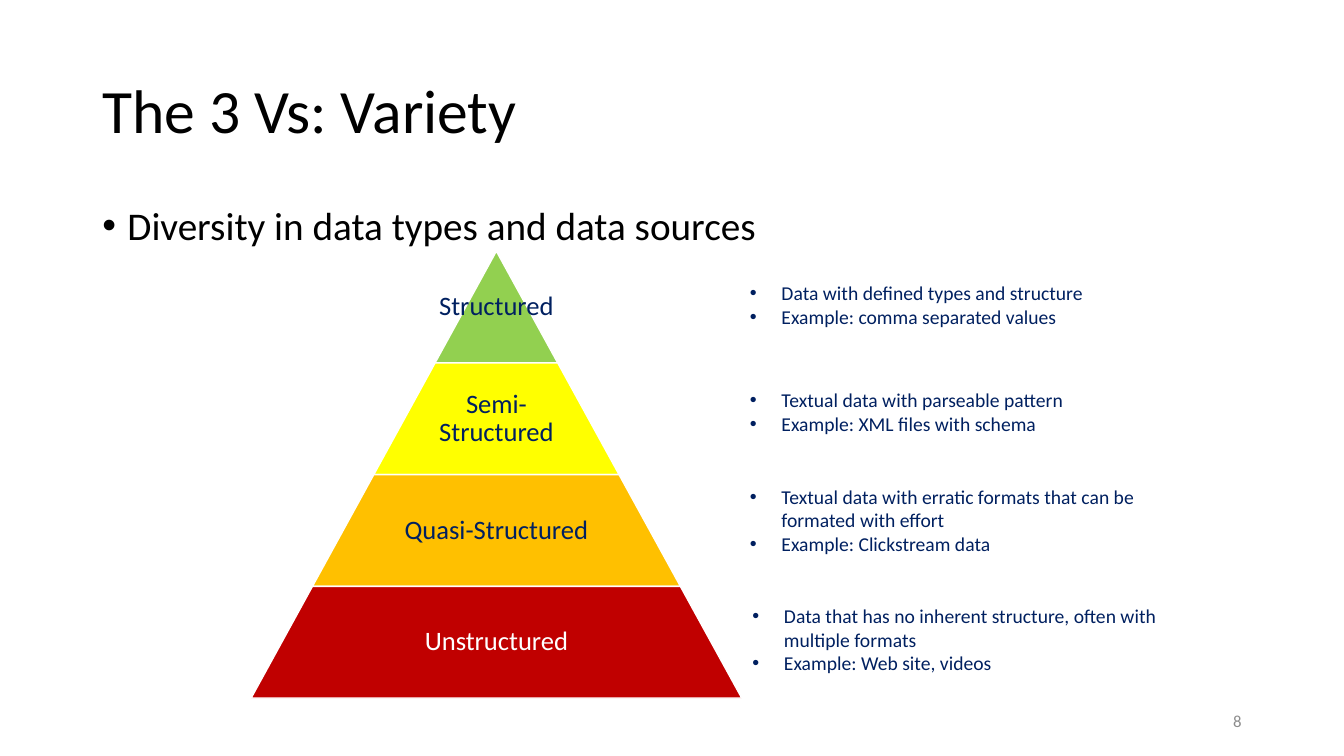
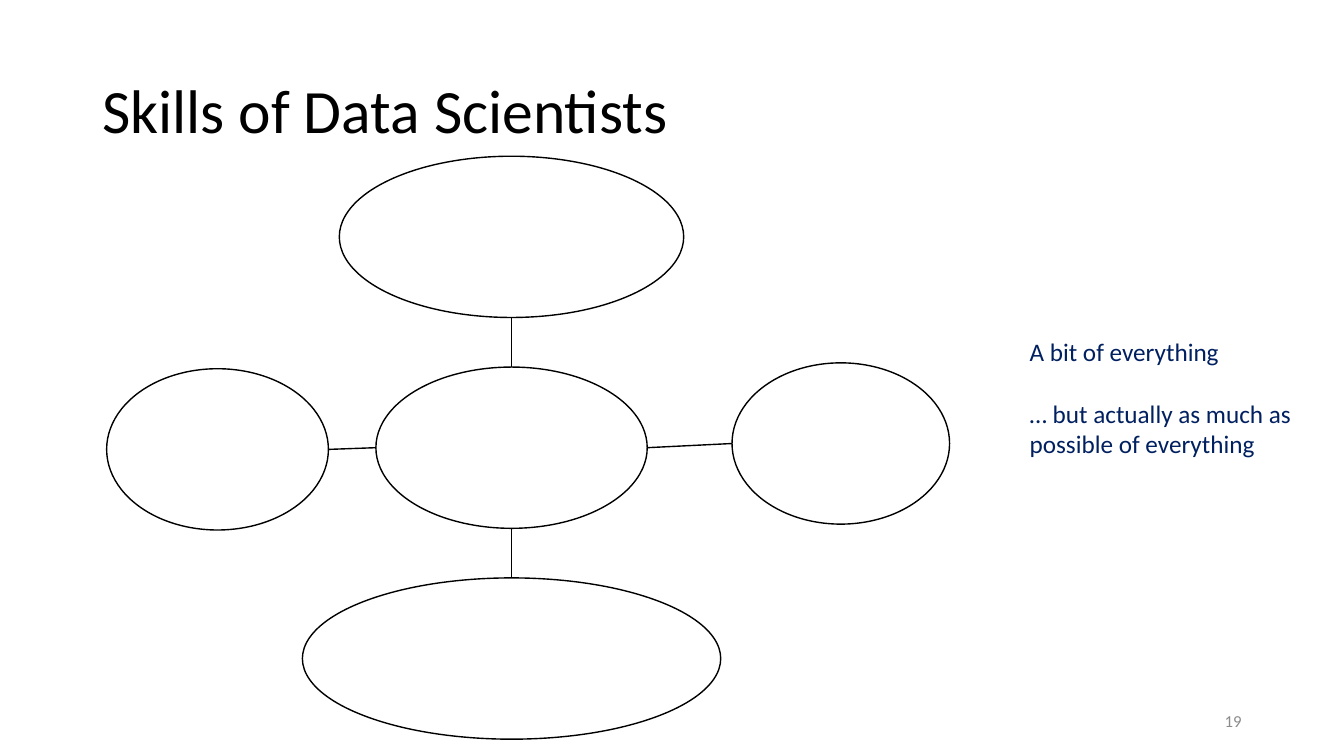
from lxml import etree
from pptx import Presentation
from pptx.dml.color import RGBColor
from pptx.enum.shapes import MSO_CONNECTOR, MSO_SHAPE
from pptx.enum.text import MSO_ANCHOR, PP_ALIGN
from pptx.oxml.ns import qn
from pptx.util import Emu, Inches, Pt

TRAPEZOID, OVAL = MSO_SHAPE.TRAPEZOID, MSO_SHAPE.OVAL
STRAIGHT = MSO_CONNECTOR.STRAIGHT
TOP, MIDDLE = MSO_ANCHOR.TOP, MSO_ANCHOR.MIDDLE
LEFT, CENTER, RIGHT = PP_ALIGN.LEFT, PP_ALIGN.CENTER, PP_ALIGN.RIGHT

FONT = "Calibri"
COLORS = {
    "black": "000000", "white": "FFFFFF", "navy": "002060", "gray": "8C8C8C",
    "green": "92D050", "yellow": "FFFF00", "orange": "FFC000", "red": "C00000",
}
COLORS = {name: RGBColor.from_string(value) for name, value in COLORS.items()}

# The slide is a grid of 160 columns and 90 rows of square cells.
COLUMNS, ROWS = 160, 90
CELL = Inches(7.5) / ROWS
MARGIN, CONTENT_WIDTH = 11, 138


def grid(*cells):
    """Turn grid cells into slide lengths."""
    return [Emu(round(count * CELL)) for count in cells]


def add_text(page, place, lines, size, color, align=LEFT, anchor=TOP,
             spacing=None, hang=0, inset=None, gap=0):
    """Add a text box; a hang above zero gives each line a bullet."""
    frame = page.shapes.add_textbox(*grid(*place)).text_frame
    frame.word_wrap = True
    frame.vertical_anchor = anchor
    if inset is not None:
        frame.margin_left = frame.margin_right = inset
        frame.margin_top = frame.margin_bottom = inset
    for index, line in enumerate(lines):
        para = frame.paragraphs[0] if index == 0 else frame.add_paragraph()
        para.alignment = align
        if spacing:
            para.line_spacing = spacing
        if index and gap:
            para.space_before = Pt(gap)
        if hang:
            indent = grid(hang)[0]
            properties = para._p.get_or_add_pPr()
            properties.set("marL", str(indent))
            properties.set("indent", str(-indent))
            etree.SubElement(properties, qn("a:buFont"), typeface="Arial")
            etree.SubElement(properties, qn("a:buChar"), char="•")
        span = para.add_run()
        span.text = line
        span.font.name = FONT
        span.font.size = Pt(size)
        span.font.color.rgb = COLORS[color]


deck = Presentation()
deck.slide_width, deck.slide_height = grid(COLUMNS, ROWS)

# Shared title and page number
pages = []
for title, number in (("The 3 Vs: Variety", "8"),
                      ("Skills of Data Scientists", "19")):
    page = deck.slides.add_slide(deck.slide_layouts[6])
    add_text(page, (MARGIN, 4.8, CONTENT_WIDTH, 17.4), [title], 44, "black",
             anchor=MIDDLE, spacing=0.9)
    add_text(page, (113, 83.4, 36, 4.8), [number], 12, "gray",
             align=RIGHT, anchor=MIDDLE)
    pages.append(page)
variety, skills = pages

# Variety: pyramid of data types with notes
add_text(variety, (MARGIN, 24, CONTENT_WIDTH, 57),
         ["Diversity in data types and data sources"], 28, "black",
         spacing=0.9, hang=3)

APEX_X, APEX_Y = 59.1, 29.9
TIER_HEIGHT, TIER_STEP = 13.3, 14.6
LABEL_SHARE = 0.65
tiers = (
    ("Structured", "green", "navy", (88.1, 32.9),
     ["Data with defined types and structure",
      "Example: comma separated values"]),
    ("Semi-Structured", "yellow", "navy", (88.1, 45.6),
     ["Textual data with parseable pattern",
      "Example: XML files with schema"]),
    ("Quasi-Structured", "orange", "navy", (88.1, 57.1),
     ["Textual data with erratic formats that can be formated with effort",
      "Example: Clickstream data"]),
    ("Unstructured", "red", "white", (88.4, 71.3),
     ["Data that has no inherent structure, often with multiple formats",
      "Example: Web site, videos"]),
)
for level, (label, fill, ink, (note_x, note_y), notes) in enumerate(tiers):
    width = TIER_STEP * (level + 1)
    top = APEX_Y + TIER_HEIGHT * level
    tier = variety.shapes.add_shape(
        TRAPEZOID, *grid(APEX_X - width / 2, top, width, TIER_HEIGHT))
    tier.adjustments[0] = TIER_STEP / 2 / TIER_HEIGHT
    tier.shadow.inherit = False
    tier.fill.solid()
    tier.fill.fore_color.rgb = COLORS[fill]
    tier.line.color.rgb = COLORS["white"]
    tier.line.width = Pt(1)
    label_width = max(TIER_STEP, width * LABEL_SHARE)
    add_text(variety, (APEX_X - label_width / 2, top, label_width, TIER_HEIGHT),
             [label], 19, ink, align=CENTER, anchor=MIDDLE, spacing=0.9,
             inset=Inches(0.03))
    note_height = 6.8 if level < 2 else 9.7
    add_text(variety, (note_x, note_y, 52, note_height), notes, 14, "navy",
             hang=3.75)

# Skills: four ovals linked to a hub
OVAL_HEIGHT = 19.2
HUB_X, HUB_Y, HUB_WIDTH = 60.9, 53.3, 32.3
BRANCH_RISE = 25.1
# Centre, width and direction from the hub
ovals = (
    (HUB_X, HUB_Y, HUB_WIDTH, (0, 0)),
    (HUB_X, HUB_Y - BRANCH_RISE, 41, (0, -1)),
    (100.1, 52.8, 25.9, (1, 0)),
    (HUB_X, HUB_Y + BRANCH_RISE, 49.8, (0, 1)),
    (25.9, 53.5, 26.4, (-1, 0)),
)
for x, y, width, (across, down) in ovals:
    oval = skills.shapes.add_shape(
        OVAL, *grid(x - width / 2, y - OVAL_HEIGHT / 2, width, OVAL_HEIGHT))
    oval.shadow.inherit = False
    oval.fill.solid()
    oval.fill.fore_color.rgb = COLORS["white"]
    oval.line.color.rgb = COLORS["black"]
    oval.line.width = Pt(1)
    if across or down:
        link = skills.shapes.add_connector(STRAIGHT, *grid(
            HUB_X + across * HUB_WIDTH / 2, HUB_Y + down * OVAL_HEIGHT / 2,
            x - across * width / 2, y - down * OVAL_HEIGHT / 2))
        link.line.color.rgb = COLORS["black"]
        link.line.width = Pt(1)
        etree.SubElement(link._element.spPr, qn("a:effectLst"))

add_text(skills, (121.4, 39.5, 38.5, 15.7),
         ["A bit of everything",
          "… but actually as much as possible of everything"],
         18, "navy", gap=22)

deck.save("out.pptx")
